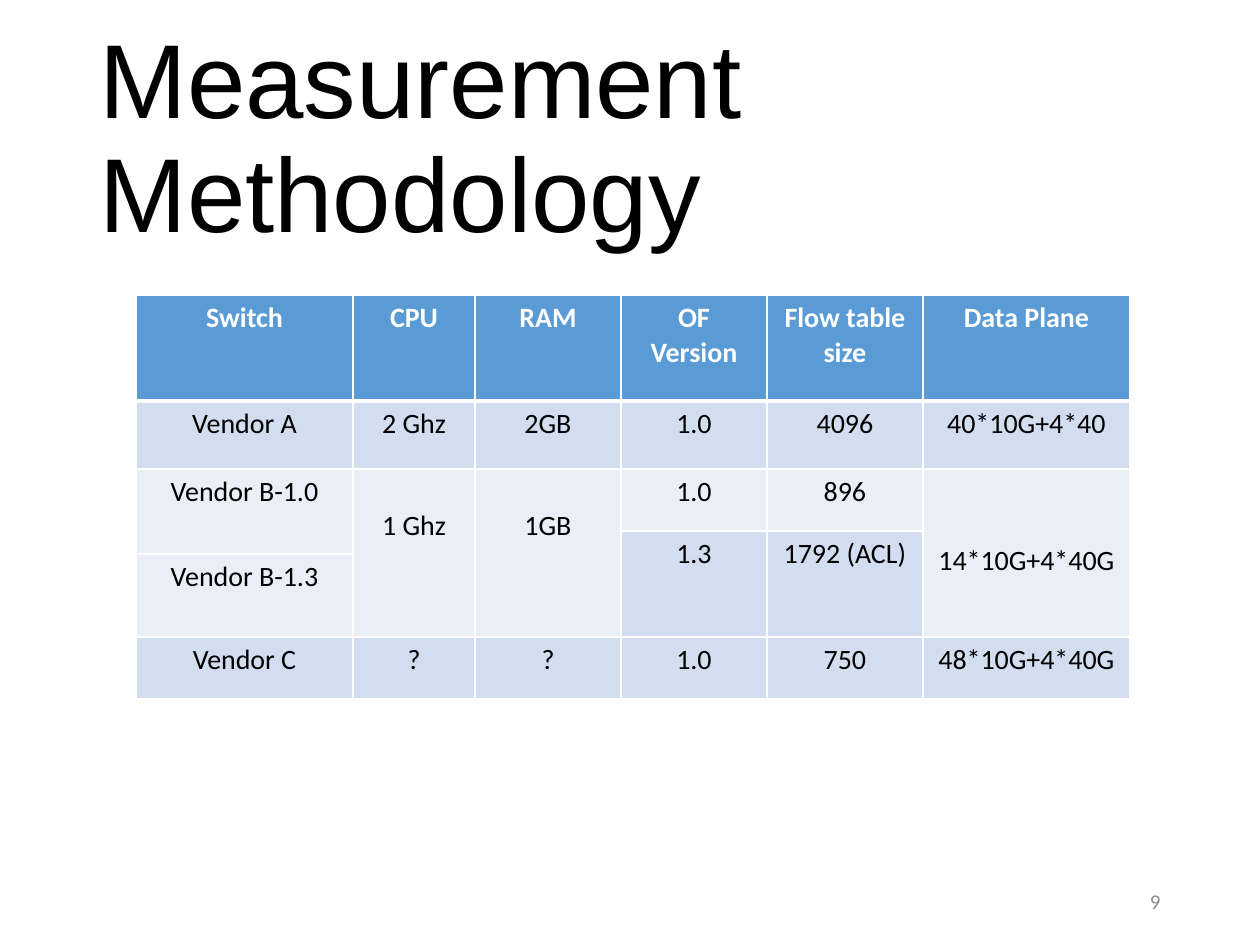
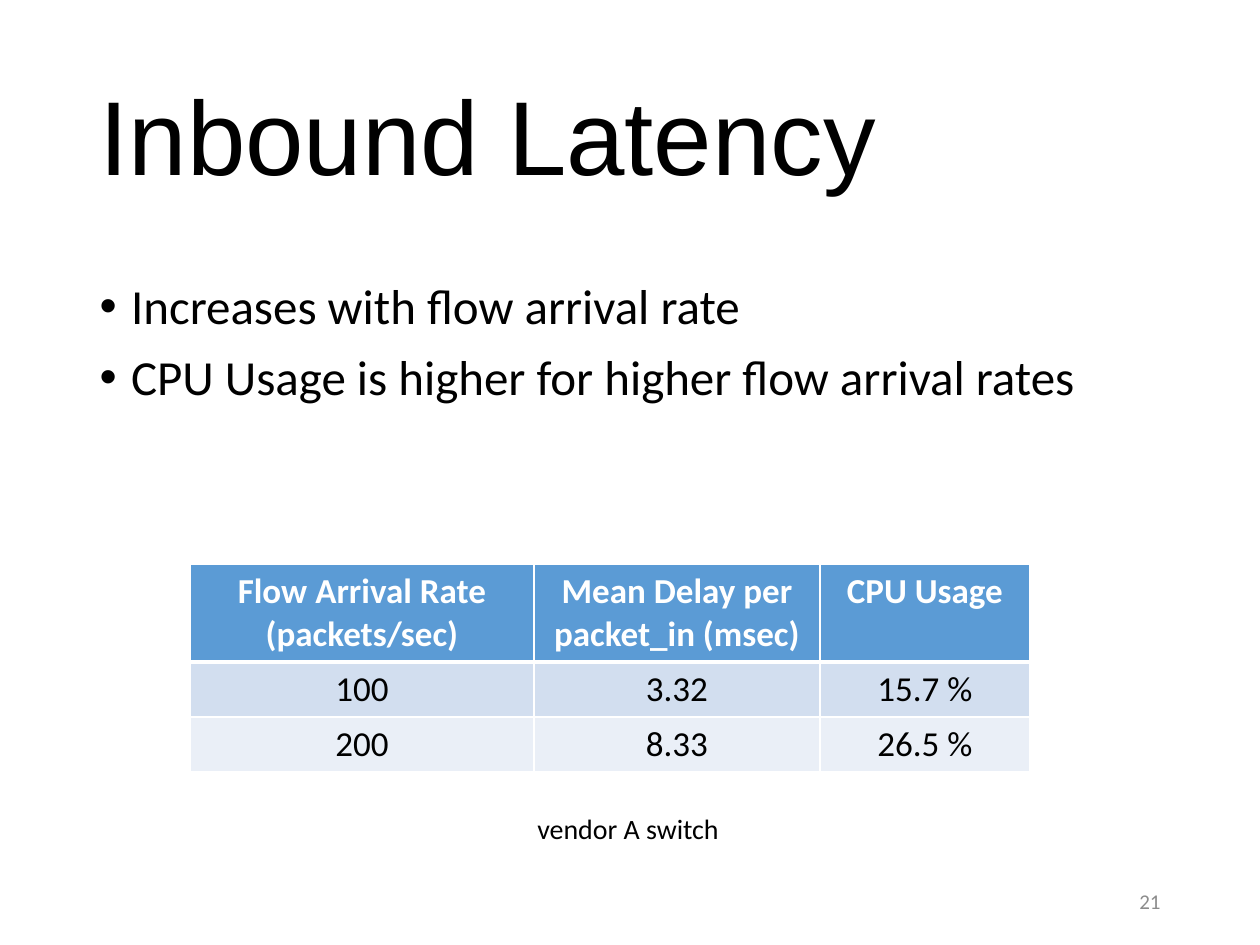
import dataclasses

import pptx
import pptx.dml.color
import pptx.enum.text
import pptx.oxml
import pptx.oxml.ns
import pptx.util

ALIGN = pptx.enum.text.PP_ALIGN
ANCHOR = pptx.enum.text.MSO_ANCHOR
AUTO_SIZE = pptx.enum.text.MSO_AUTO_SIZE
EMU_PER_PX = 914400 / 126


@dataclasses.dataclass(frozen=True)
class Theme:
    heading_font: str = "Arial"
    text_font: str = "Calibri"
    ink: str = "000000"
    paper: str = "FFFFFF"
    muted: str = "8C8C8C"
    header: str = "5B9BD5"
    bands: tuple = ("EAEFF7", "D2DEEF")  # even rows, odd rows
    title_size: int = 60
    list_size: int = 28
    caption_size: int = 16
    number_size: int = 12
    grid_line: int = 1
    header_line: int = 3


THEME = Theme()

PAGE_SIZE = (1260, 945)
TITLE_BOX = (87, 50, 1086, 183)
LIST_BOX = (87, 276, 1086, 239)
NUMBER_BOX = (890, 876, 283, 50)


def px(length):
    return pptx.util.Emu(round(length * EMU_PER_PX))


def apply(target, values):
    for name, value in values.items():
        setattr(target, name, value)


def place(shape, box):
    apply(shape, dict(zip(("left", "top", "width", "height"), map(px, box))))


def write(para, text, size, color, font=THEME.text_font, bold=False, **layout):
    """Put one formatted span in a paragraph; layout holds paragraph attributes."""
    apply(para, layout)
    span = para.add_run()
    span.text = text
    apply(span.font, {"name": font, "size": pptx.util.Pt(size), "bold": bold})
    span.font.color.rgb = pptx.dml.color.RGBColor.from_string(color)


def add_text(page, box, text, size, color, align=ALIGN.LEFT, **frame_format):
    shape = page.shapes.add_textbox(*map(px, box))
    apply(shape.text_frame, frame_format)
    write(shape.text_frame.paragraphs[0], text, size, color, alignment=align)


def add_page(deck, layout_index, title, number):
    page = deck.slides.add_slide(deck.slide_layouts[layout_index])
    place(page.shapes.title, TITLE_BOX)
    frame = page.shapes.title.text_frame
    apply(frame, {"vertical_anchor": ANCHOR.MIDDLE, "auto_size": AUTO_SIZE.NONE,
                  "word_wrap": True})
    write(frame.paragraphs[0], title, THEME.title_size, THEME.ink,
          THEME.heading_font, alignment=ALIGN.LEFT, line_spacing=0.9)
    add_text(page, NUMBER_BOX, str(number), THEME.number_size, THEME.muted,
             ALIGN.RIGHT, word_wrap=True, vertical_anchor=ANCHOR.MIDDLE)
    return page


def add_bullets(page, box, items):
    body = page.placeholders[1]
    place(body, box)
    frame = body.text_frame
    apply(frame, {"auto_size": AUTO_SIZE.NONE, "vertical_anchor": ANCHOR.TOP})
    for index, item in enumerate(items):
        para = frame.add_paragraph() if index else frame.paragraphs[0]
        properties = para._p.get_or_add_pPr()
        indent = pptx.util.Inches(0.25)
        properties.set("marL", str(indent))
        properties.set("indent", str(-indent))
        namespace = pptx.oxml.ns.nsdecls("a")
        for bullet in ('<a:buFont %s typeface="Arial"/>', '<a:buChar %s char="•"/>'):
            properties.append(pptx.oxml.parse_xml(bullet % namespace))
        write(para, item, THEME.list_size, THEME.ink, line_spacing=0.9,
              space_before=pptx.util.Pt(10 if index else 0))


def border_cell(cell, row):
    """Draw white edges, with a heavier rule under the header row."""
    heavy_edge = {0: "lnB", 1: "lnT"}.get(row)
    for index, edge in enumerate(("lnL", "lnR", "lnT", "lnB")):
        points = THEME.header_line if edge == heavy_edge else THEME.grid_line
        line = pptx.oxml.parse_xml(
            f'<a:{edge} {pptx.oxml.ns.nsdecls("a")} w="{pptx.util.Pt(points)}">'
            f'<a:solidFill><a:srgbClr val="{THEME.paper}"/></a:solidFill></a:{edge}>')
        cell._tc.get_or_add_tcPr().insert(index, line)


def add_table(page, origin, widths, heights, rows, size, spans=()):
    """Fill a banded table; a line break in a cell starts a paragraph.

    Each span is (row, column, last row, top margin or None).
    """
    box = (*origin, sum(widths), sum(heights))
    table = page.shapes.add_table(len(rows), len(widths), *map(px, box)).table
    for column, width in zip(table.columns, widths):
        column.width = px(width)
    for row, height in zip(table.rows, heights):
        row.height = px(height)
    for first, column, last, margin in spans:
        cell = table.cell(first, column)
        cell.merge(table.cell(last, column))
        if margin:
            cell.margin_top = px(margin)
    for r, texts in enumerate(rows):
        fill = THEME.bands[r % 2] if r else THEME.header
        color = THEME.ink if r else THEME.paper
        for c, text in enumerate(texts):
            cell = table.cell(r, c)
            cell.fill.solid()
            cell.fill.fore_color.rgb = pptx.dml.color.RGBColor.from_string(fill)
            border_cell(cell, r)
            if text is None:
                continue
            for index, part in enumerate(text.split("\n")):
                frame = cell.text_frame
                para = frame.add_paragraph() if index else frame.paragraphs[0]
                write(para, part, size, color, bold=r == 0, alignment=ALIGN.CENTER)


def build_methodology(deck):
    page = add_page(deck, 5, "Measurement Methodology", 9)
    rows = [
        ("Switch", "CPU", "RAM", "OF\nVersion", "Flow table size", "Data Plane"),
        ("Vendor A", "2 Ghz", "2GB", "1.0", "4096", "40*10G+4*40"),
        ("Vendor B-1.0", "1 Ghz", "1GB", "1.0", "896", "14*10G+4*40G"),
        (None, None, None, "1.3", "1792 (ACL)", None),
        ("Vendor B-1.3", None, None, None, None, None),
        ("Vendor C", "?", "?", "1.0", "750", "48*10G+4*40G"),
    ]
    spans = [(2, 0, 3, None), (2, 1, 4, 40), (2, 2, 4, 40),
             (3, 3, 4, None), (3, 4, 4, None), (2, 5, 4, 75)]
    add_table(page, (136, 295), (217, 122, 146, 146, 156, 207),
              (106, 68, 62, 23, 83, 62), rows, 16, spans)


def build_latency(deck):
    page = add_page(deck, 1, "Inbound Latency", 21)
    add_bullets(page, LIST_BOX, [
        "Increases with flow arrival rate",
        "CPU Usage is higher for higher flow arrival rates",
    ])
    rows = [
        ("Flow Arrival Rate\n(packets/sec)", "Mean Delay per packet_in (msec)",
         "CPU Usage"),
        ("100", "3.32", "15.7 %"),
        ("200", "8.33", "26.5 %"),
    ]
    add_table(page, (190, 564), (344, 286, 210), (98, 55, 55), rows, 20)
    add_text(page, (525, 805, 209, 47), "vendor A switch", THEME.caption_size,
             THEME.ink, word_wrap=False, auto_size=AUTO_SIZE.SHAPE_TO_FIT_TEXT)


def main():
    deck = pptx.Presentation()
    apply(deck, dict(zip(("slide_width", "slide_height"), map(px, PAGE_SIZE))))
    build_methodology(deck)
    build_latency(deck)
    deck.save("out.pptx")


if __name__ == "__main__":
    main()
